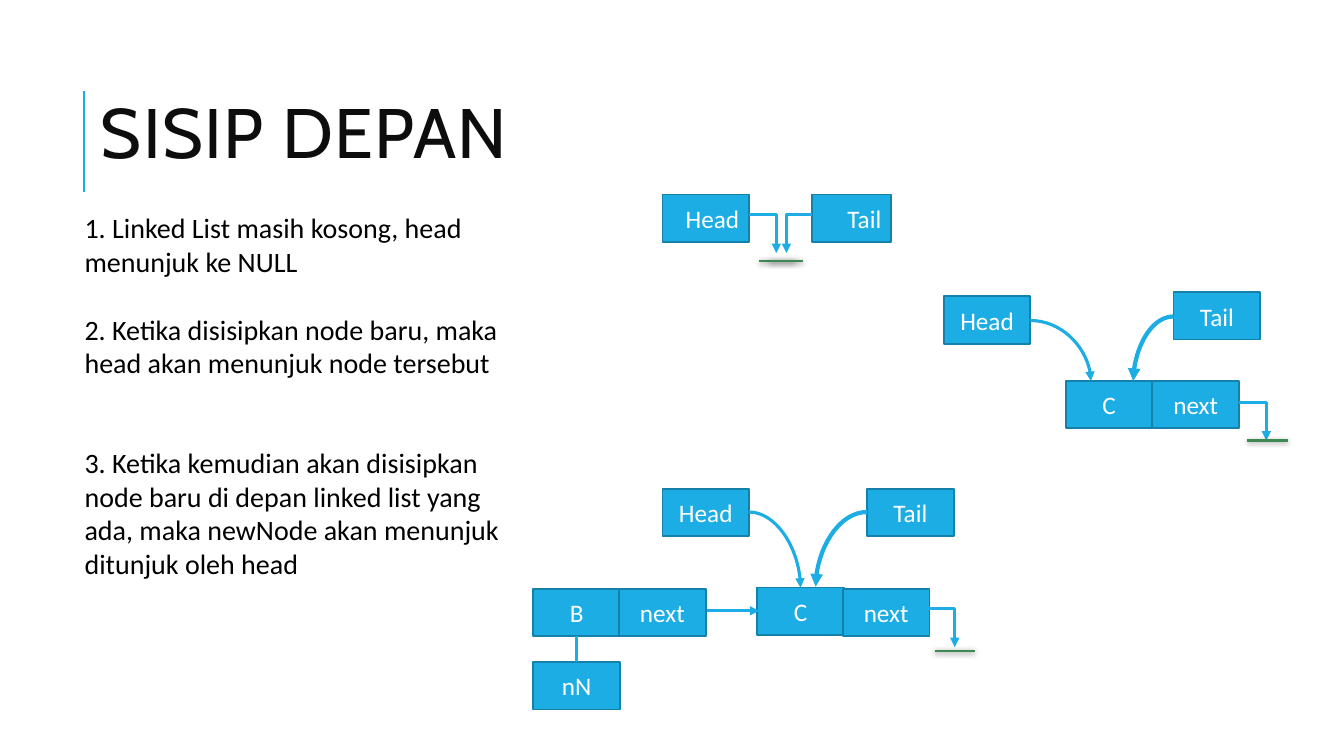
import pptx
import pptx.util
import pptx.dml.color
import pptx.enum.shapes
import pptx.enum.text
import pptx.oxml
import pptx.oxml.ns

COLORS = {"blue": "1CADE4", "edge": "1580A9", "ground": "3E8853",
          "title": "0D0D0D", "text": "000000", "label": "FFFFFF"}
ALIGN = pptx.enum.text.PP_ALIGN
ANCHOR = pptx.enum.text.MSO_ANCHOR
SHADOW = ('<a:outerShdw blurRad="50800" dist="12700" dir="5400000" algn="t" rotWithShape="0">'
          '<a:srgbClr val="000000"><a:alpha val="50000"/></a:srgbClr></a:outerShdw>')
NODE_WIDTH, NODE_HEIGHT = 86, 47


def px(count):
    return pptx.util.Emu(count * 9144)


def color(name):
    return pptx.dml.color.RGBColor.from_string(COLORS[name])


def fragment(tag, inner="", attributes=""):
    return pptx.oxml.parse_xml(
        f'<a:{tag} {pptx.oxml.ns.nsdecls("a")} {attributes}>{inner}</a:{tag}>')


class Diagram:
    """Draws linked-list elements on the current page in one shared style."""

    def __init__(self, page):
        self.page = page
        self.shapes = page.shapes

    def group(self):
        self.shapes = self.page.shapes.add_group_shape().shapes

    def add_text(self, frame, text, size, font, ink, align=ALIGN.LEFT):
        para = frame.paragraphs[0]
        para.alignment = align
        span = para.add_run()
        span.text = text
        span.font.size = pptx.util.Pt(size)
        span.font.name = font
        span.font.color.rgb = color(ink)
        return para, span

    def title(self, text, left, top, width, height):
        box = self.page.shapes.title
        box.left, box.top, box.width, box.height = map(px, (left, top, width, height))
        frame = box.text_frame
        frame.word_wrap = True
        frame.auto_size = pptx.enum.text.MSO_AUTO_SIZE.NONE
        frame.vertical_anchor = ANCHOR.MIDDLE
        para, span = self.add_text(frame, text, 50, "Cabin", "title")
        para.line_spacing = 0.8
        span.font._element.set("spc", "100")

    def note(self, text, left, top, width, height):
        box = self.shapes.add_textbox(*map(px, (left, top, width, height)))
        box.text_frame.word_wrap = True
        self.add_text(box.text_frame, text, 20, "Calibri", "text")

    def node(self, text, left, top, width=NODE_WIDTH, align=ALIGN.CENTER):
        box = self.shapes.add_shape(pptx.enum.shapes.MSO_SHAPE.RECTANGLE,
                                    *map(px, (left, top, width, NODE_HEIGHT)))
        box.shadow.inherit = False
        box.fill.solid()
        box.fill.fore_color.rgb = color("blue")
        box.line.color.rgb = color("edge")
        box.line.width = pptx.util.Pt(1.25)
        box.text_frame.word_wrap = True
        box.text_frame.vertical_anchor = ANCHOR.MIDDLE
        self.add_text(box.text_frame, text, 18, "Calibri", "label", align)

    def line(self, start, end, ink="blue", weight=2.25, effect=""):
        link = self.shapes.add_connector(pptx.enum.shapes.MSO_CONNECTOR.STRAIGHT,
                                         *map(px, start + end))
        link.line.color.rgb = color(ink)
        link.line.width = pptx.util.Pt(weight)
        link._element.spPr.append(fragment("effectLst", effect))
        return link

    def arrow(self, start, end, preset="line", weight=2.25):
        link = self.line(start, end, weight=weight)
        properties = link._element.spPr
        properties.find(pptx.oxml.ns.qn("a:prstGeom")).set("prst", preset)
        properties.find(pptx.oxml.ns.qn("a:ln")).append(
            fragment("tailEnd", attributes='type="triangle"'))

    def curve(self, start, end, weight=2.25):
        self.arrow(start, end, "curvedConnector2", weight)

    def elbow(self, start, end):
        self.arrow(start, end, "bentConnector2")

    def ground(self, left, right, top):
        self.line((left, top), (right, top), "ground", 1.5, SHADOW)


def main():
    deck = pptx.Presentation()
    deck.slide_width, deck.slide_height = px(1333), px(750)
    diagram = Diagram(deck.slides.add_slide(deck.slide_layouts[5]))

    diagram.line((83, 190), (83, 90), weight=1.5)
    diagram.title("SISIP DEPAN", 90, 55, 1063, 164)
    for text, top, height in (
            ("1. Linked List masih kosong, head menunjuk ke NULL", 204, 77),
            ("2. Ketika disisipkan node baru, maka head akan menunjuk node tersebut", 305, 77),
            ("3. Ketika kemudian akan disisipkan node baru di depan linked list yang ada, "
             "maka newNode akan menunjuk ditunjuk oleh head", 437, 145)):
        diagram.note(text, 74, top, 455, height)

    diagram.group()
    diagram.node("Head", 657, 193, align=ALIGN.RIGHT)
    diagram.node("Tail", 805, 193, width=79, align=ALIGN.RIGHT)
    diagram.elbow((743, 213), (770, 251))
    diagram.elbow((805, 213), (780, 251))
    diagram.ground(753, 788, 259)
    diagram.ground(763, 796, 259)

    diagram.group()
    for text, left, top in (("Head", 936, 294), ("Tail", 1164, 290),
                            ("C", 1057, 378), ("next", 1143, 378)):
        diagram.node(text, left, top)
    diagram.curve((1022, 318), (1082, 378))
    diagram.curve((1164, 314), (1124, 378), weight=3)
    diagram.elbow((1229, 399), (1256, 437))
    diagram.ground(1237, 1277, 437)

    diagram.group()
    for text, left, top in (("B", 529, 584), ("next", 614, 584), ("nN", 529, 657),
                            ("C", 751, 583), ("next", 836, 584),
                            ("Head", 657, 485), ("Tail", 860, 485)):
        diagram.node(text, left, top)
    diagram.curve((743, 508), (794, 583))
    diagram.curve((860, 508), (809, 582), weight=3)
    diagram.line((572, 657), (572, 631))
    diagram.arrow((701, 606), (753, 606))
    diagram.elbow((920, 604), (947, 642))
    diagram.ground(927, 967, 646)

    deck.save("out.pptx")


if __name__ == "__main__":
    main()
